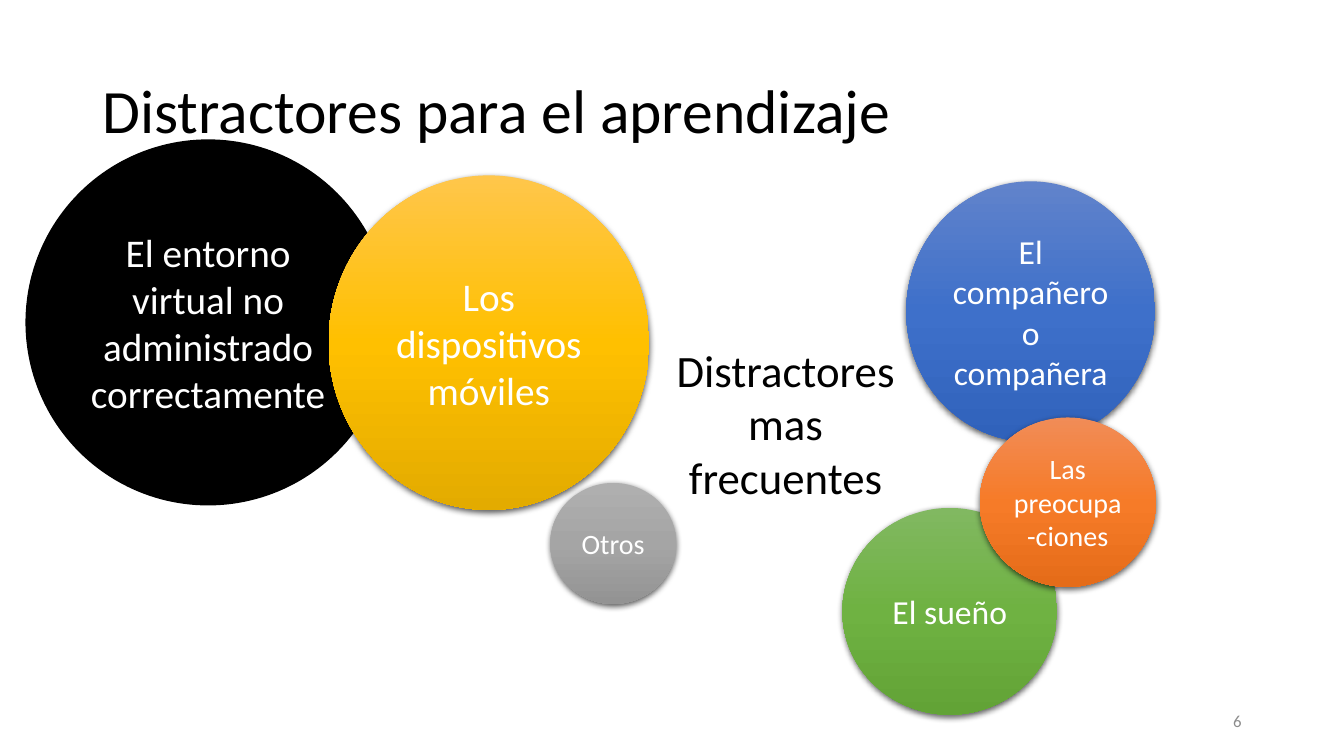
import copy

from lxml import etree
from pptx import Presentation
from pptx import util as u
from pptx.dml.color import RGBColor
from pptx.enum import shapes, text
from pptx.oxml import ns

BLACK = RGBColor(0x00, 0x00, 0x00)
WHITE = RGBColor(0xFF, 0xFF, 0xFF)
GREY = RGBColor(0x8C, 0x8C, 0x8C)
BLUES = [RGBColor(0x61, 0x83, 0xCB), RGBColor(0x3E, 0x70, 0xCA), RGBColor(0x30, 0x62, 0xBB)]
GREENS = [RGBColor(0x81, 0xB8, 0x61), RGBColor(0x6F, 0xB2, 0x42), RGBColor(0x62, 0xA3, 0x36)]
ORANGES = [RGBColor(0xF1, 0x8C, 0x57), RGBColor(0xF6, 0x7B, 0x28), RGBColor(0xE5, 0x6C, 0x19)]
GREYS = [RGBColor(0xAF, 0xAF, 0xAF), RGBColor(0xA5, 0xA5, 0xA5), RGBColor(0x93, 0x93, 0x93)]
YELLOWS = [RGBColor(0xFF, 0xC6, 0x4B), RGBColor(0xFF, 0xC0, 0x00), RGBColor(0xE3, 0xAB, 0x00)]


def cm(*lengths):
    return [u.Cm(length) for length in lengths]


def write(box, words, size=24, color=WHITE, align=text.PP_ALIGN.CENTER,
          anchor=text.MSO_ANCHOR.MIDDLE, spacing=None, inset=None):
    frame = box.text_frame
    frame.word_wrap = True
    frame.auto_size = text.MSO_AUTO_SIZE.NONE
    frame.vertical_anchor = anchor
    if inset is not None:
        frame.margin_left = frame.margin_right = u.Cm(inset)
        frame.margin_top = frame.margin_bottom = u.Cm(inset)
    para = frame.paragraphs[0]
    para.alignment = align
    para.line_spacing = spacing
    span = para.add_run()
    span.text = words
    span.font.name = "Calibri"
    span.font.size = u.Pt(size)
    span.font.color.rgb = color


def add_text(page, place, words, **style):
    box = page.shapes.add_textbox(*cm(*place))
    write(box, words, **style)
    return box


def add_circle(page, place, words, **style):
    circle = page.shapes.add_shape(shapes.MSO_SHAPE.OVAL, *cm(*place))
    circle.shadow.inherit = False
    write(circle, words, **style)
    return circle


def shade(circle, colors):
    circle.fill.gradient()
    circle.fill.gradient_angle = 270
    stops = circle._element.spPr.find(".//" + ns.qn("a:gsLst"))
    stops.insert(1, copy.deepcopy(stops[0]))
    for index, (stop, color) in enumerate(zip(circle.fill.gradient_stops, colors)):
        stop.position = index / 2
        stop.color.rgb = color


def cast_shadow(circle):
    effects = circle._element.spPr.find(ns.qn("a:effectLst"))
    shadow = etree.SubElement(effects, ns.qn("a:outerShdw"), blurRad=str(u.Pt(4.5)),
                              dist=str(u.Pt(1.5)), dir="5400000", algn="ctr", rotWithShape="0")
    color = etree.SubElement(shadow, ns.qn("a:srgbClr"), val=str(BLACK))
    etree.SubElement(color, ns.qn("a:alpha"), val="63000")


def add_bubble(page, place, words, colors, **style):
    bubble = add_circle(page, place, words, **style)
    shade(bubble, colors)
    bubble.line.fill.background()
    cast_shadow(bubble)


def add_disc(page, place, words, color, **style):
    disc = add_circle(page, place, words, **style)
    disc.fill.solid()
    disc.fill.fore_color.rgb = color
    disc.line.color.rgb = color
    disc.line.width = u.Pt(1)


def set_title(page, place, words):
    title = page.shapes.title
    title.left, title.top, title.width, title.height = cm(*place)
    write(title, words, size=44, color=BLACK, align=text.PP_ALIGN.LEFT, spacing=0.9)


def main():
    deck = Presentation()
    deck.slide_width, deck.slide_height = u.Cm(33.87), u.Cm(19.05)
    page = deck.slides.add_slide(deck.slide_layouts.get_by_name("Title Only"))

    set_title(page, (2.33, 1.01, 29.21, 3.68), "Distractores para el aprendizaje")
    add_text(page, (23.92, 17.65, 7.62, 1.01), "6", size=12, color=GREY,
             align=text.PP_ALIGN.RIGHT)
    add_bubble(page, (22.84, 4.57, 6.27, 6.56), "El compañero o compañera", BLUES)
    add_bubble(page, (21.23, 12.8, 5.41, 5.21), "El sueño", GREENS)
    add_bubble(page, (24.69, 10.52, 4.44, 4.27), "Las preocupa-ciones", ORANGES,
               size=20, inset=0.13)
    add_bubble(page, (13.87, 12.17, 3.17, 3.05), "Otros", GREYS, size=20, inset=0.13)
    add_text(page, (16.36, 8.5, 6.88, 4.37), "Distractores mas frecuentes",
             size=32, color=BLACK, anchor=text.MSO_ANCHOR.TOP)
    add_disc(page, (0.66, 3.53, 9.17, 9.19),
             "El entorno virtual no administrado correctamente", BLACK, size=28)
    add_bubble(page, (8.28, 4.42, 8.08, 8.43), "Los dispositivos móviles", YELLOWS, size=28)

    deck.save("out.pptx")


if __name__ == "__main__":
    main()
